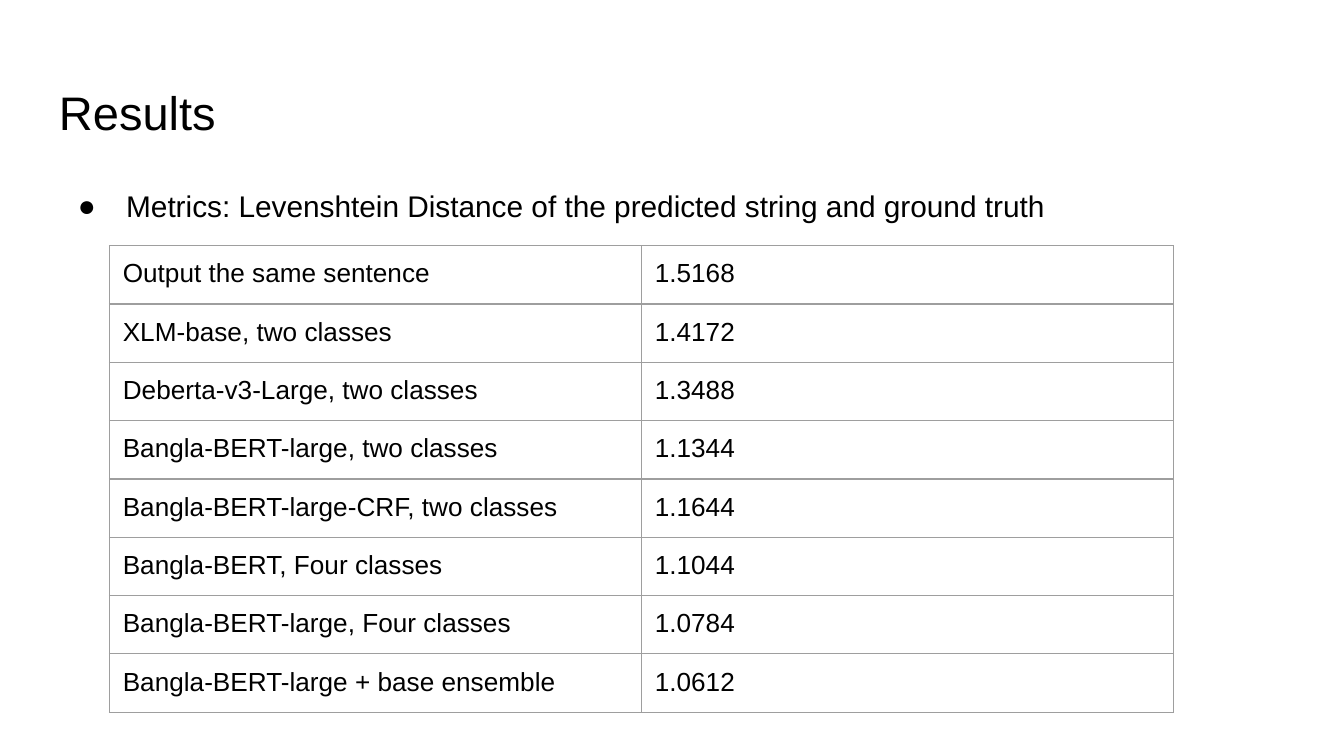
from lxml import etree
from pptx import Presentation
from pptx.dml.color import RGBColor
from pptx.enum.text import MSO_ANCHOR
from pptx.oxml.ns import qn
from pptx.util import Pt

TOP, BOTTOM = MSO_ANCHOR.TOP, MSO_ANCHOR.BOTTOM
COLORS = {"text": "000000", "grid": "9E9E9E", "back": "FFFFFF"}
PAD = Pt(7.2)
MARGINS = {"margin_left": PAD, "margin_right": PAD,
           "margin_top": PAD, "margin_bottom": PAD}
RESULTS = [
    ("Output the same sentence", "1.5168"),
    ("XLM-base, two classes", "1.4172"),
    ("Deberta-v3-Large, two classes", "1.3488"),
    ("Bangla-BERT-large, two classes", "1.1344"),
    ("Bangla-BERT-large-CRF, two classes", "1.1644"),
    ("Bangla-BERT, Four classes", "1.1044"),
    ("Bangla-BERT-large, Four classes", "1.0784"),
    ("Bangla-BERT-large + base ensemble", "1.0612"),
]


def put_text(frame, text, size):
    """Write one styled paragraph and return it."""
    para = frame.paragraphs[0]
    run = para.add_run()
    run.text = text
    for name, value in {"name": "Arial", "size": Pt(size)}.items():
        setattr(run.font, name, value)
    run.font.color.rgb = RGBColor.from_string(COLORS["text"])
    return para


def add_tag(parent, tag, **attrs):
    """Append a drawing element with attributes and return it."""
    return etree.SubElement(parent, qn(tag), attrs)


prs = Presentation()
prs.slide_width, prs.slide_height = Pt(720), Pt(405)
slide = prs.slides.add_slide(prs.slide_layouts[6])
back = slide.background.fill
back.solid()
back.fore_color.rgb = RGBColor.from_string(COLORS["back"])

# Title and metric line
paras = []
for text, size, top, height, anchor in [
    ("Results", 25.2, 36.7, 45.4, BOTTOM),
    ("Metrics: Levenshtein Distance of the predicted string and ground truth",
     16, 90.7, 269.3, TOP),
]:
    box = slide.shapes.add_textbox(Pt(24.5), Pt(top), Pt(671), Pt(height))
    frame = box.text_frame
    style = {**MARGINS, "word_wrap": True, "vertical_anchor": anchor}
    for name, value in style.items():
        setattr(frame, name, value)
    paras.append(put_text(frame, text, size))

metric = paras[1]
metric.line_spacing = 1.15
props = metric._p.get_or_add_pPr()
props.set("marL", str(Pt(36)))
props.set("indent", str(Pt(-25.9)))
tint = add_tag(props, "a:buClr")
add_tag(tint, "a:srgbClr", val=COLORS["text"])
add_tag(props, "a:buFont", typeface="Arial")
add_tag(props, "a:buChar", char="●")

# Score table
count = len(RESULTS)
table = slide.shapes.add_table(
    count, 2, Pt(58.6), Pt(131.6), Pt(570), Pt(30 * count)).table
table.first_row = table.horz_banding = False
for row, pair in enumerate(RESULTS):
    for col, text in enumerate(pair):
        cell = table.cell(row, col)
        for name, value in MARGINS.items():
            setattr(cell, name, value)
        put_text(cell.text_frame, text, 14)
        props = cell._tc.get_or_add_tcPr()
        for side in ("L", "R", "T", "B"):
            line = add_tag(props, "a:ln" + side, w=str(Pt(0.75)))
            fill = add_tag(line, "a:solidFill")
            add_tag(fill, "a:srgbClr", val=COLORS["grid"])
        cell.fill.background()

prs.save("out.pptx")
